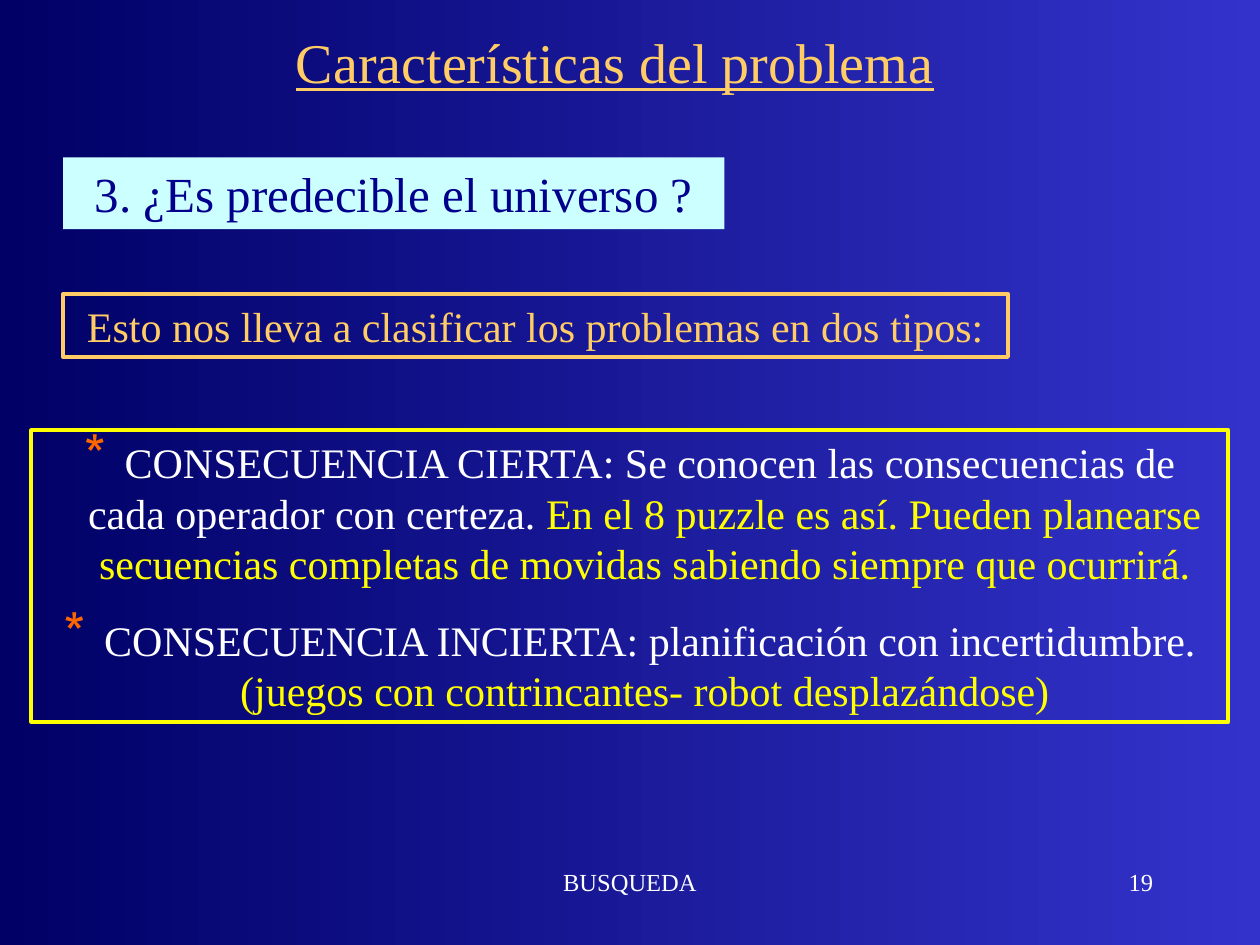
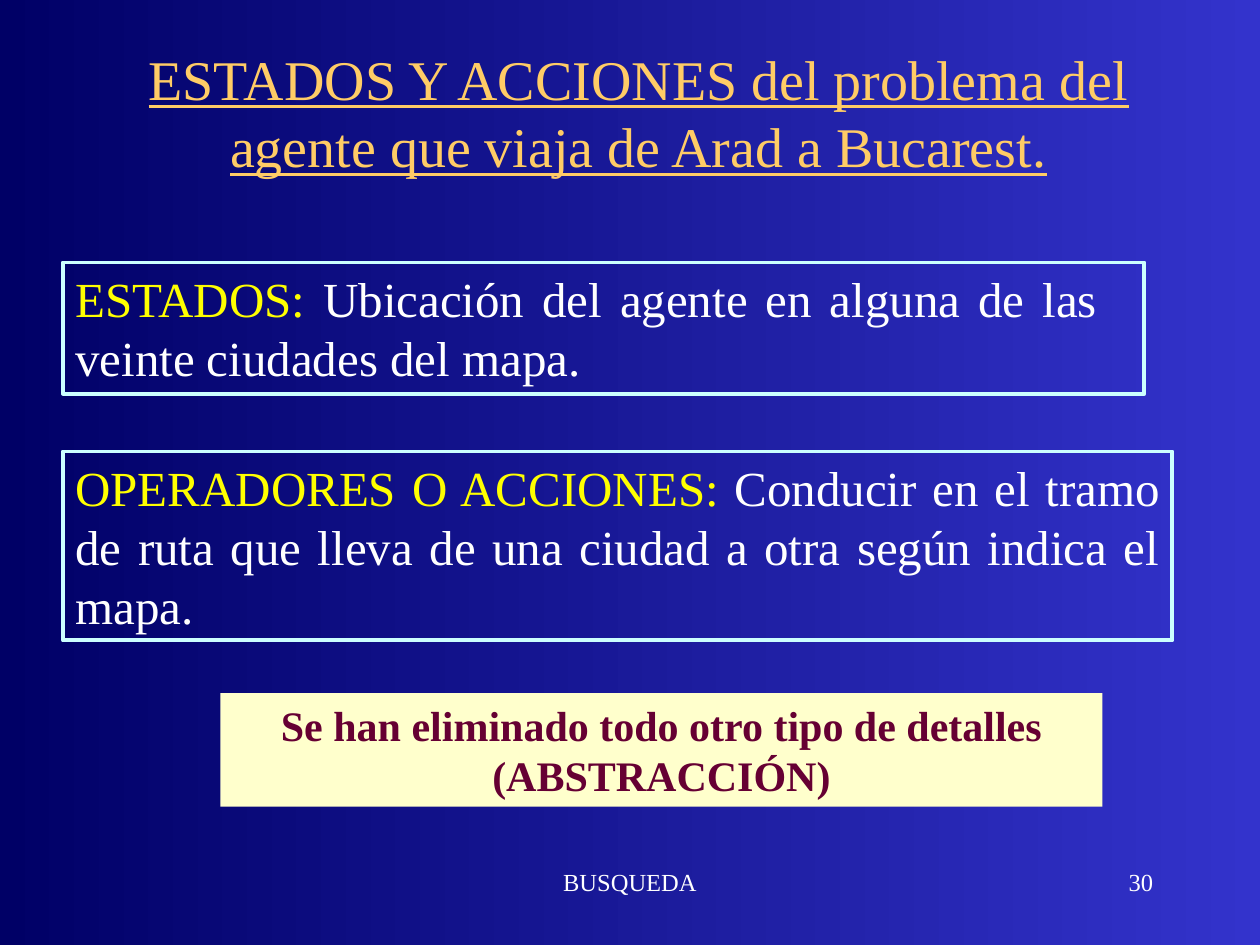
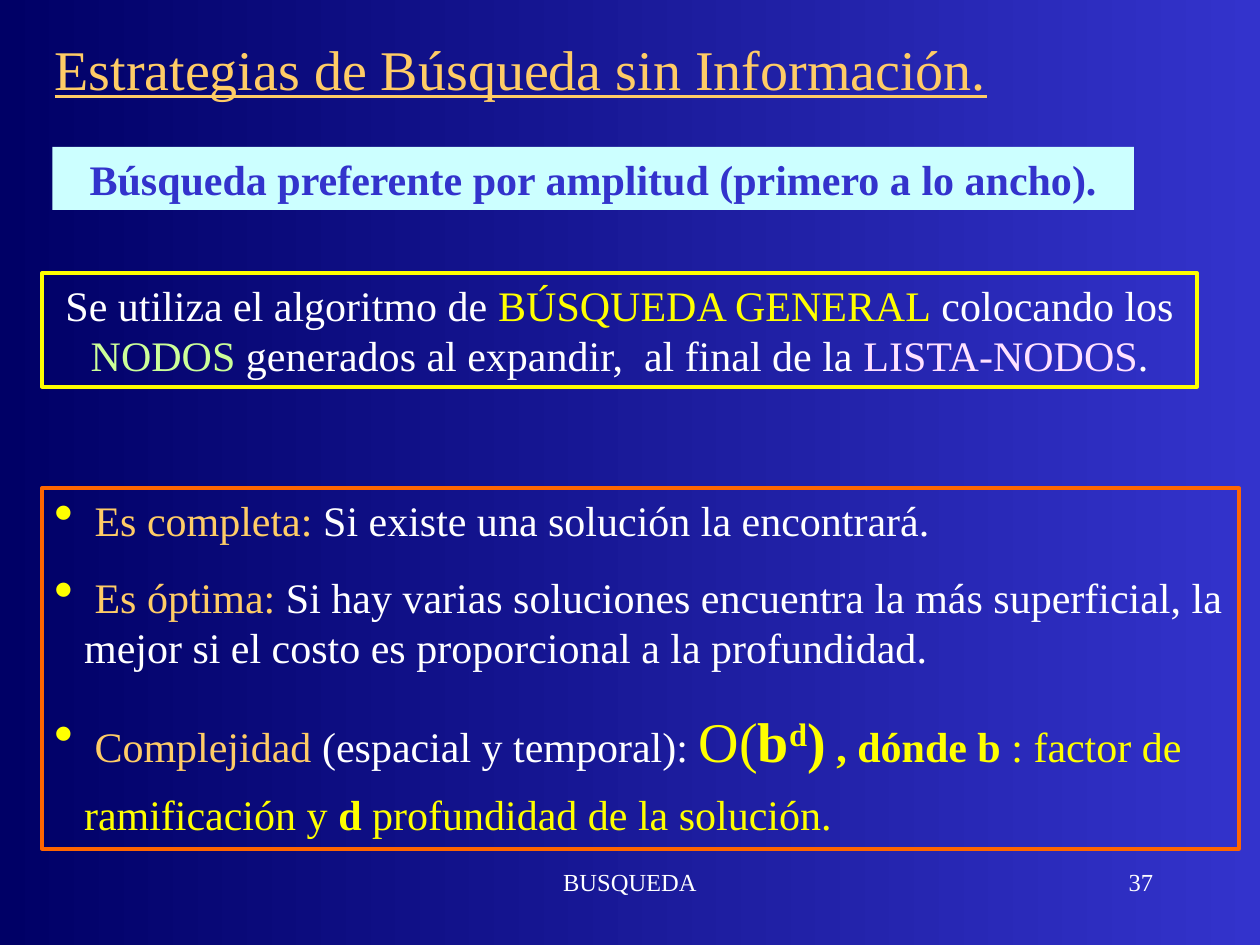
from lxml.etree import SubElement
from pptx import Presentation
from pptx.dml.color import RGBColor
from pptx.enum.shapes import MSO_SHAPE
from pptx.enum.text import MSO_ANCHOR, MSO_AUTO_SIZE, PP_ALIGN
from pptx.oxml.ns import qn
from pptx.util import Pt

FONT = "Times New Roman"
WHITE, YELLOW, GOLD = "FFFFFF", "FFFF00", "FFCC66"
AQUA, ORANGE, BLUE = "CCFFFF", "FF6600", "3333CC"
LEFT, MID, RIGHT, FULL = PP_ALIGN.LEFT, PP_ALIGN.CENTER, PP_ALIGN.RIGHT, PP_ALIGN.JUSTIFY


def style(font, size, color, bold=False):
    font.name = FONT
    font.size = Pt(size)
    font.bold = bold
    font.color.rgb = RGBColor.from_string(color)


def panel(slide, place, paras, size=24, align=MID, fill=None, line=None, bullet=None, gap=15):
    shape = slide.shapes.add_shape(MSO_SHAPE.RECTANGLE, *map(Pt, place))
    shape.shadow.inherit = False
    if fill:
        shape.fill.solid()
        shape.fill.fore_color.rgb = RGBColor.from_string(fill)
    else:
        shape.fill.background()
    if line:
        shape.line.color.rgb = RGBColor.from_string(line)
        shape.line.width = Pt(2.25)
    else:
        shape.line.fill.background()
    frame = shape.text_frame
    frame.word_wrap = True
    frame.vertical_anchor = MSO_ANCHOR.TOP
    for i, runs in enumerate(paras):
        para = frame.add_paragraph() if i else frame.paragraphs[0]
        para.alignment = align
        if i:
            para.space_before = Pt(gap)
        if bullet:
            mark, color = bullet
            props = para._p.get_or_add_pPr()
            props.set("marL", str(Pt(17)))
            props.set("indent", str(Pt(-17)))
            SubElement(SubElement(props, qn("a:buClr")), qn("a:srgbClr"), val=color)
            SubElement(props, qn("a:buSzPct"), val="130000")
            SubElement(props, qn("a:buChar"), char=mark)
        for text, color, *look in runs:
            run = para.add_run()
            run.text = text
            style(run.font, 32 if "big" in look else size, color, "bold" in look)
            if "sup" in look:
                run._r.get_or_add_rPr().set("baseline", "30000")
    return shape


deck = Presentation()
deck.slide_width, deck.slide_height = Pt(720), Pt(540)

back = deck.slide_master.background.fill
back.gradient()
back.gradient_angle = 180
for stop, color, spot in zip(back.gradient_stops, (BLUE, "000066"), (0, 1)):
    stop.color.rgb = RGBColor.from_string(color)
    stop.position = spot

heads = [
    ("Características del problema", (160, 12, 383, 46), MID, "19"),
    ("ESTADOS Y ACCIONES del problema del agente que viaja de Arad a Bucarest.",
     (60, 22, 610, 84), MID, "30"),
    ("Estrategias de Búsqueda sin Información.", (24, 12, 630, 54), LEFT, "37"),
]
for text, place, align, page in heads:
    slide = deck.slides.add_slide(deck.slide_layouts[5])
    title = slide.shapes.title
    title.left, title.top, title.width, title.height = map(Pt, place)
    frame = title.text_frame
    frame.text = text
    frame.word_wrap = True
    frame.auto_size = MSO_AUTO_SIZE.NONE
    frame.vertical_anchor = MSO_ANCHOR.MIDDLE
    para = frame.paragraphs[0]
    para.alignment = align
    style(para.runs[0].font, 32, GOLD)
    para.runs[0].font.underline = True
    for note, x, width, side in (("BUSQUEDA", 246, 228, MID), (page, 516, 150, RIGHT)):
        foot = slide.shapes.add_textbox(Pt(x), Pt(492), Pt(width), Pt(36)).text_frame
        foot.word_wrap = True
        foot.text = note
        foot.paragraphs[0].alignment = side
        style(foot.paragraphs[0].runs[0].font, 14, WHITE)

types, states, search = deck.slides

panel(types, (36, 90, 378, 41), [[("3. ¿Es predecible el universo ?", "00008C")]],
      size=28, fill=AQUA)
panel(types, (36, 168, 540, 36),
      [[("Esto nos lleva a clasificar los problemas en dos tipos:", GOLD)]], line=GOLD)
panel(types, (18, 246, 684, 166.5), [
    [(" CONSECUENCIA CIERTA: Se conocen las consecuencias de cada operador con certeza. ", WHITE),
     ("En el 8 puzzle es así. Pueden planearse secuencias completas de movidas "
      "sabiendo siempre que ocurrirá.", YELLOW)],
    [(" CONSECUENCIA INCIERTA: planificación con incertidumbre. ", WHITE),
     ("(juegos con contrincantes- robot desplazándose)", YELLOW)],
], line=YELLOW, bullet=("*", ORANGE))

place = panel(states, (36, 150, 618, 75), [
    [("ESTADOS:", YELLOW),
     (" Ubicación del agente en alguna de las veinte ciudades del mapa.", WHITE)],
], size=28, align=FULL, line=AQUA)
place.text_frame.margin_right = Pt(27)
panel(states, (36, 258, 634, 108), [
    [("OPERADORES O ACCIONES:", YELLOW),
     (" Conducir en el tramo de ruta que lleva de una ciudad a otra según indica el mapa.", WHITE)],
], size=28, align=FULL, line=AQUA)
panel(states, (126, 396, 504, 65),
      [[("Se han eliminado todo otro tipo de detalles (ABSTRACCIÓN)", "660033", "bold")]],
      fill="FFFFCC")

panel(search, (30, 84, 618, 36),
      [[("Búsqueda preferente por amplitud (primero a lo ancho).", BLUE, "bold")]], fill=AQUA)
panel(search, (24, 156, 660, 65), [
    [("Se utiliza el algoritmo de ", WHITE), ("BÚSQUEDA GENERAL", YELLOW),
     (" colocando los ", WHITE), ("NODOS", "CCFF99"),
     (" generados al expandir,  al final de la ", WHITE),
     ("LISTA-NODOS", "FFE1FF"), (".", WHITE)],
], line=YELLOW)
traits = panel(search, (24, 279, 684, 206), [
    [(" Es completa:", GOLD), (" Si existe una solución la encontrará.", WHITE)],
    [(" Es óptima:", GOLD),
     (" Si hay varias soluciones encuentra la más superficial, la mejor si el costo "
      "es proporcional a la profundidad.", WHITE)],
    [(" Complejidad", GOLD), (" (espacial y temporal): ", WHITE),
     ("O(", YELLOW, "big"), ("b", YELLOW, "big", "bold"),
     ("d", YELLOW, "big", "bold", "sup"), (")", YELLOW, "big", "bold"),
     (" , dónde b ", YELLOW, "bold"), (": factor de ramificación y ", YELLOW),
     ("d", YELLOW, "bold"), (" profundidad de la solución.", YELLOW),
     (" ", YELLOW, "big", "sup")],
], align=LEFT, line=ORANGE, bullet=("•", YELLOW))
traits.text_frame.paragraphs[2].space_before = Pt(20)

deck.save("out.pptx")
